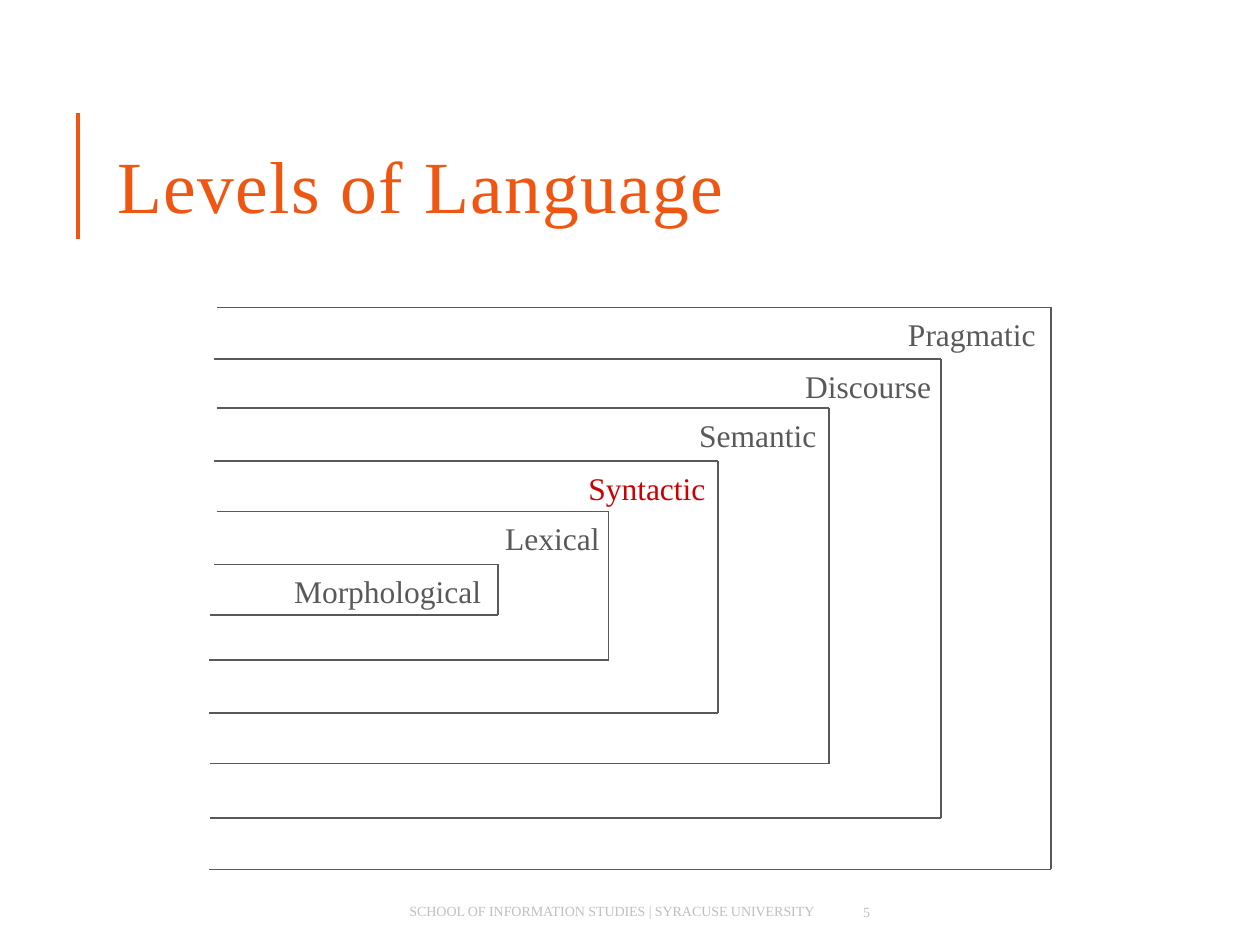
from typing import NamedTuple

from lxml.etree import SubElement
from pptx import Presentation
from pptx.dml.color import RGBColor
from pptx.enum.shapes import MSO_CONNECTOR as Connector
from pptx.enum.text import MSO_ANCHOR as Anchor, MSO_AUTO_SIZE as AutoSize, PP_ALIGN as Align
from pptx.oxml.ns import qn
from pptx.util import Inches, Pt

COLORS = {"accent": "EE5612", "text": "595959", "highlight": "CC0000", "footer": "BFBFBF"}
FONT = "Times New Roman"
LABEL_GAP = 0.06  # from a bracket's top line to its label
LABEL_WIDTH = 1.8
LABEL_HEIGHT = 0.29


class Level(NamedTuple):
    name: str
    top: float
    right: float
    bottom: float
    top_left: float
    bottom_left: float
    label_right: float
    color: str = "text"


LEVELS = [
    Level("Pragmatic", 2.44, 8.34, 6.90, 1.72, 1.66, 8.22),
    Level("Discourse", 2.85, 7.47, 6.49, 1.70, 1.67, 7.39),
    Level("Semantic", 3.24, 6.58, 6.06, 1.72, 1.67, 6.48),
    Level("Syntactic", 3.66, 5.70, 5.66, 1.70, 1.66, 5.60, "highlight"),
    Level("Lexical", 4.06, 4.83, 5.24, 1.72, 1.66, 4.76),
    Level("Morphological", 4.48, 3.95, 4.88, 1.70, 1.67, 3.82),
]


def add_line(slide, x1: float, y1: float, x2: float, y2: float, color: str, width: float) -> None:
    line = slide.shapes.add_connector(
        Connector.STRAIGHT, Inches(x1), Inches(y1), Inches(x2), Inches(y2))
    line.line.color.rgb = RGBColor.from_string(COLORS[color])
    line.line.width = Pt(width)
    SubElement(line._element.spPr, qn("a:effectLst"))


def write_text(shape, text: str, size: float, color: str, align=Align.LEFT,
               anchor=Anchor.TOP, spacing: float = 0) -> None:
    frame = shape.text_frame
    frame.text = text
    frame.word_wrap = True
    frame.auto_size = AutoSize.NONE
    frame.vertical_anchor = anchor
    frame.margin_left = frame.margin_right = frame.margin_top = frame.margin_bottom = 0
    paragraph = frame.paragraphs[0]
    paragraph.alignment = align
    for run in paragraph.runs:
        run.font.name = FONT
        run.font.size = Pt(size)
        run.font.color.rgb = RGBColor.from_string(COLORS[color])
        run._r.get_or_add_rPr().set("spc", str(round(spacing * 100)))


def add_text(slide, left: float, top: float, width: float, height: float,
             text: str, size: float, color: str, **style) -> None:
    box = slide.shapes.add_textbox(Inches(left), Inches(top), Inches(width), Inches(height))
    write_text(box, text, size, color, **style)


def add_bracket(slide, level: Level) -> None:
    add_line(slide, level.top_left, level.top, level.right, level.top, "text", 1)
    add_line(slide, level.right, level.top, level.right, level.bottom, "text", 1)
    add_line(slide, level.right, level.bottom, level.bottom_left, level.bottom, "text", 1)


def add_label(slide, level: Level) -> None:
    add_text(slide, level.label_right - LABEL_WIDTH, level.top + LABEL_GAP,
             LABEL_WIDTH, LABEL_HEIGHT, level.name, 18, level.color, align=Align.RIGHT)


def main() -> None:
    presentation = Presentation()
    presentation.slide_width = Inches(10)
    presentation.slide_height = Inches(7.5)
    slide = presentation.slides.add_slide(presentation.slide_layouts[5])

    # Title with its accent bar
    add_line(slide, 0.62, 1.9, 0.62, 0.9, "accent", 2)
    title = slide.shapes.title
    title.left, title.top = Inches(0.93), Inches(1.08)
    title.width, title.height = Inches(5.2), Inches(0.73)
    write_text(title, "Levels of Language", 42, "accent", anchor=Anchor.BOTTOM, spacing=0.8)

    # Nested brackets, then their labels
    for level in LEVELS:
        add_bracket(slide, level)
    for level in LEVELS:
        add_label(slide, level)

    # Footer and page number
    add_text(slide, 3.25, 7.16, 3.4, 0.15,
             "SCHOOL OF INFORMATION STUDIES | SYRACUSE UNIVERSITY", 8, "footer", spacing=-0.05)
    add_text(slide, 6.85, 7.17, 0.14, 0.15, "5", 8, "footer")

    presentation.save("out.pptx")


if __name__ == "__main__":
    main()
